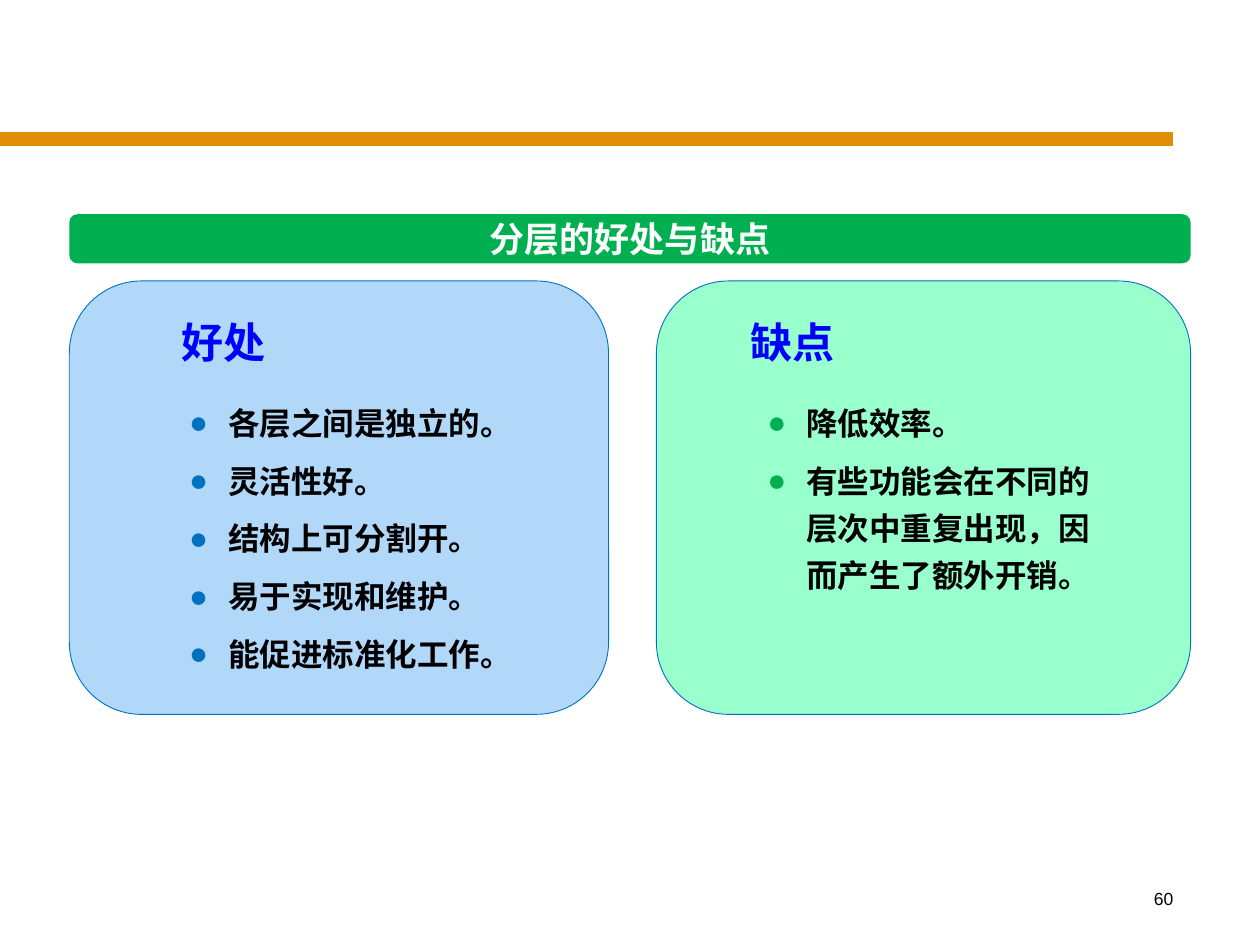
from dataclasses import dataclass

from lxml.etree import SubElement
from pptx import Presentation
from pptx.dml.color import RGBColor
from pptx.enum.shapes import MSO_CONNECTOR, MSO_SHAPE
from pptx.enum.text import MSO_ANCHOR, MSO_AUTO_SIZE, PP_ALIGN
from pptx.oxml.ns import qn
from pptx.util import Inches, Pt


@dataclass(frozen=True)
class Theme:
    latin: str = "Arial"
    chinese: str = "Noto Sans CJK SC"
    orange: str = "DF8E05"
    green: str = "00B050"
    blue: str = "0070C0"
    heading: str = "0000FF"
    black: str = "000000"
    white: str = "FFFFFF"
    pale_blue: str = "B1D8F9"
    pale_green: str = "99FFCC"
    title_size: int = 20
    heading_size: int = 24
    list_size: int = 18
    number_size: int = 10


theme = Theme()


def add_rounded_box(box, fill, line=None):
    shape = slide.shapes.add_shape(MSO_SHAPE.ROUNDED_RECTANGLE, *map(Inches, box))
    shape.shadow.inherit = False
    shape.fill.solid()
    shape.fill.fore_color.rgb = RGBColor.from_string(fill)
    if line:
        shape.line.color.rgb = RGBColor.from_string(line)
        shape.line.width = Pt(0.5)
    else:
        shape.line.fill.background()


def write_text(shape, box, lines, size, color, font, bold=True,
               align=PP_ALIGN.LEFT, wrap=False, bullet=None):
    shape.left, shape.top, shape.width, shape.height = map(Inches, box)
    slide.shapes._spTree.append(shape._element)  # bring to front
    frame = shape.text_frame
    frame.auto_size = MSO_AUTO_SIZE.NONE
    frame.word_wrap = wrap
    frame.vertical_anchor = MSO_ANCHOR.TOP
    for index, line in enumerate(lines):
        paragraph = frame.add_paragraph() if index else frame.paragraphs[0]
        paragraph.alignment = align
        paragraph.space_before = Pt(6 if bullet else 0)
        if bullet:
            paragraph.line_spacing = Pt(27)
            properties = paragraph._p.get_or_add_pPr()
            properties.set("marL", str(Inches(0.31)))
            properties.set("indent", str(Inches(-0.31)))
            bullet_color = SubElement(properties, qn("a:buClr"))
            SubElement(bullet_color, qn("a:srgbClr"), val=bullet)
            SubElement(properties, qn("a:buFont"), typeface=theme.latin)
            SubElement(properties, qn("a:buChar"), char="●")
        run = paragraph.add_run()
        run.text = line
        run.font.name = font
        run.font.size = Pt(size)
        run.font.bold = bold
        run.font.color.rgb = RGBColor.from_string(color)
        SubElement(run._r.get_or_add_rPr(), qn("a:ea"), typeface=theme.chinese)


presentation = Presentation()
presentation.slide_width = Inches(10)
presentation.slide_height = Inches(7.5)
slide = presentation.slides.add_slide(
    presentation.slide_layouts.get_by_name("Comparison"))

# Orange rule
rule = slide.shapes.add_connector(
    MSO_CONNECTOR.STRAIGHT, Inches(0), Inches(1.1), Inches(9.31), Inches(1.1))
rule.line.color.rgb = RGBColor.from_string(theme.orange)
rule.line.width = Pt(8)
SubElement(rule._element.spPr, qn("a:effectLst"))

# Title on its green bar, wide enough for one line
add_rounded_box((0.55, 1.7, 8.9, 0.39), theme.green)
write_text(slide.shapes.title, (3.6, 1.68, 2.8, 0.44), ["分层的好处与缺点"],
           theme.title_size, theme.white, theme.latin, align=PP_ALIGN.CENTER)

# Panels: left, width, fill, bullet colour, heading, heading left, list box, items
panels = [
    (0.55, 4.28, theme.pale_blue, theme.blue, "好处", 1.34, (1.4, 3.08, 2.67, 2.33),
     ["各层之间是独立的。", "灵活性好。", "结构上可分割开。",
      "易于实现和维护。", "能促进标准化工作。"]),
    (5.21, 4.24, theme.pale_green, theme.green, "缺点", 5.86, (5.99, 3.08, 2.86, 1.7),
     ["降低效率。", "有些功能会在不同的层次中重复出现，因而产生了额外开销。"]),
]
placeholders = {item.placeholder_format.idx: item for item in slide.placeholders}
for index, (left, width, fill, bullet, heading, heading_left, list_box,
            items) in enumerate(panels):
    add_rounded_box((left, 2.23, width, 3.44), fill, theme.blue)
    write_text(placeholders[2 * index + 1], (heading_left, 2.46, 0.87, 0.5), [heading],
               theme.heading_size, theme.heading, theme.chinese)
    write_text(placeholders[2 * index + 2], list_box, items, theme.list_size,
               theme.black, theme.chinese, wrap=True, bullet=bullet)

# Page number
number_box = (7.33, 7, 2.08, 0.5)
write_text(slide.shapes.add_textbox(*map(Inches, number_box)), number_box, ["60"],
           theme.number_size, theme.black, theme.latin, bold=False,
           align=PP_ALIGN.RIGHT, wrap=True)

presentation.save("out.pptx")
